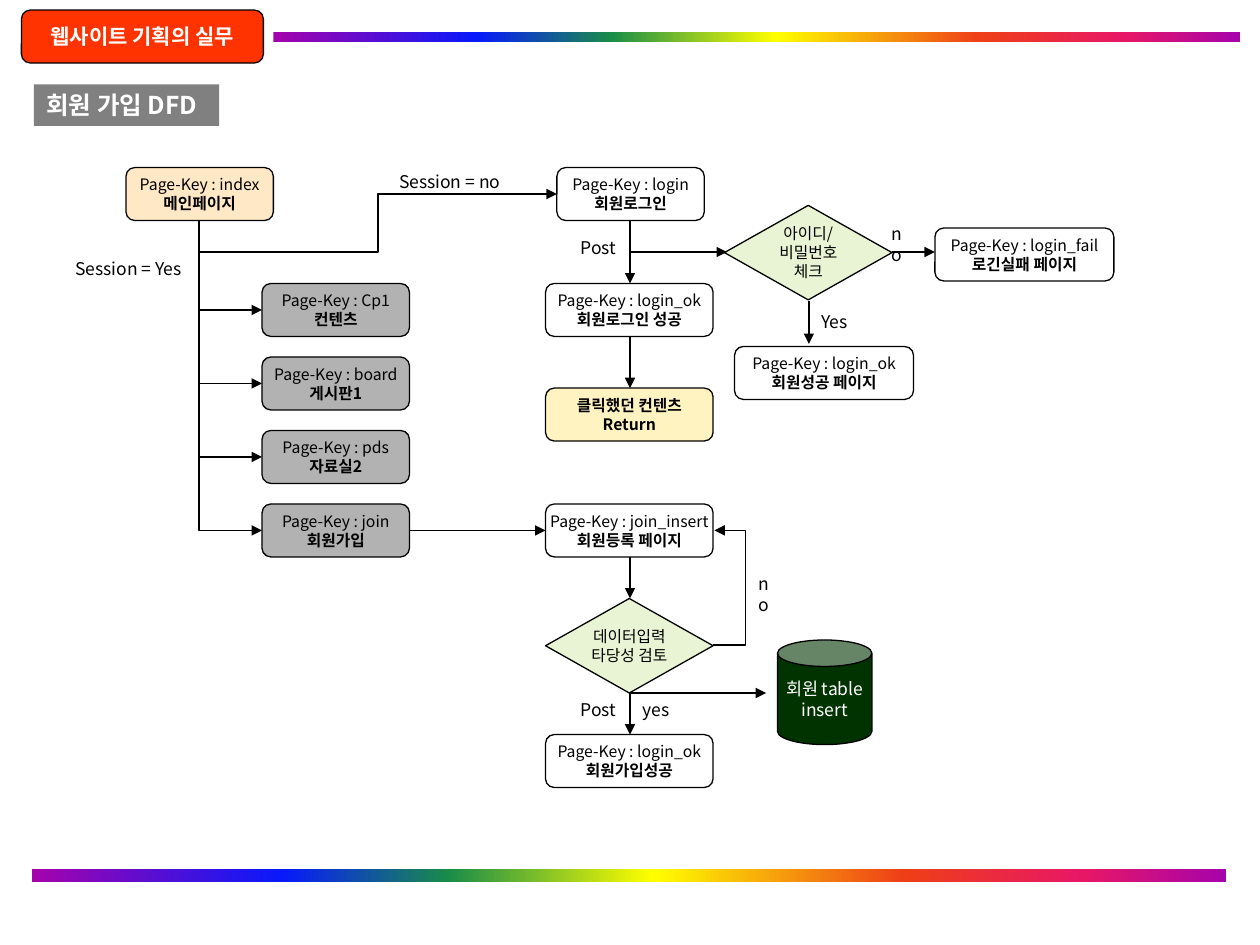
import pptx
import pptx.util
import pptx.dml.color
import pptx.enum.shapes
import pptx.enum.text
import pptx.oxml.ns
from lxml import etree

Inches, Pt = pptx.util.Inches, pptx.util.Pt
RGB = pptx.dml.color.RGBColor
SHAPE = pptx.enum.shapes.MSO_SHAPE
LINK = pptx.enum.shapes.MSO_CONNECTOR
ALIGN = pptx.enum.text.PP_ALIGN
ANCHOR = pptx.enum.text.MSO_ANCHOR
AUTO = pptx.enum.text.MSO_AUTO_SIZE
qn = pptx.oxml.ns.qn

BLACK = RGB(0x00, 0x00, 0x00)
WHITE = RGB(0xFF, 0xFF, 0xFF)
GRAY = RGB(0x80, 0x80, 0x80)
SILVER = RGB(0xB2, 0xB2, 0xB2)
RED = RGB(0xFF, 0x33, 0x00)
PEACH = RGB(0xFF, 0xE8, 0xC5)
CREAM = RGB(0xFF, 0xF3, 0xC1)
LIME = RGB(0xE9, 0xF4, 0xD4)
FOREST = RGB(0x00, 0x33, 0x00)
RAINBOW = [(0, "A603AB"), (21, "0819FB"), (35, "1A8D48"), (52, "FFFF00"),
           (73, "EE3F17"), (88, "E81766"), (100, "A603AB")]


class Diagram:
    """Draws flowchart elements on one slide in a shared style."""

    font = "Noto Sans CJK KR"
    line_width = Pt(0.75)

    def __init__(self, slide):
        self.slide = slide

    def add_text(self, sp, lines, frame, size, color, align=ALIGN.CENTER):
        tf = sp.text_frame
        for name, value in {"word_wrap": False, **frame}.items():
            setattr(tf, name, value)
        for i, (text, bold) in enumerate(lines):
            p = tf.add_paragraph() if i else tf.paragraphs[0]
            p.alignment = align
            r = p.add_run()
            r.text = text
            for name, value in {"name": self.font, "size": Pt(size), "bold": bold}.items():
                setattr(r.font, name, value)
            r.font.color.rgb = color
            etree.SubElement(r._r.get_or_add_rPr(), qn("a:ea")).set("typeface", self.font)

    def shape(self, kind, x, y, w, h, fill=None, outlined=True):
        sp = self.slide.shapes.add_shape(kind, Inches(x), Inches(y), Inches(w), Inches(h))
        sp.shadow.inherit = False
        if fill is not None:
            sp.fill.solid()
            sp.fill.fore_color.rgb = fill
        if outlined:
            sp.line.color.rgb = BLACK
            sp.line.width = self.line_width
        else:
            sp.line.fill.background()
        return sp

    def node(self, kind, x, y, w, h, fill, lines, size=9, color=BLACK):
        sp = self.shape(kind, x, y, w, h, fill)
        self.add_text(sp, lines, {"vertical_anchor": ANCHOR.MIDDLE}, size, color)
        return sp

    def page(self, x, y, w, fill, key, title):
        self.node(SHAPE.ROUNDED_RECTANGLE, x, y, w, 0.42, fill,
                  [("Page-Key : " + key, False), (title, True)])

    def decision(self, x, y, *lines):
        self.node(SHAPE.FLOWCHART_DECISION, x, y, 1.33, 0.75, LIME,
                  [(line, False) for line in lines])

    def rainbow(self, x, y, w, h):
        sp = self.shape(SHAPE.RECTANGLE, x, y, w, h, outlined=False)
        sp.fill.gradient()
        sp.fill.gradient_angle = 0
        stops = sp._element.spPr.find(qn("a:gradFill")).find(qn("a:gsLst"))
        for gs in list(stops):
            stops.remove(gs)
        for pos, color in RAINBOW:
            gs = etree.SubElement(stops, qn("a:gs"), pos=str(pos * 1000))
            etree.SubElement(gs, qn("a:srgbClr"), val=color)

    def label(self, x, y, w, text, wrap=False):
        sp = self.slide.shapes.add_textbox(Inches(x), Inches(y), Inches(w), Inches(0.27))
        self.add_text(sp, [(text, False)], {"word_wrap": wrap, "auto_size": AUTO.NONE},
                      10, BLACK, ALIGN.LEFT)

    def arrow(self, x1, y1, x2, y2, kind=LINK.STRAIGHT, bend=None):
        sp = self.slide.shapes.add_connector(kind, Inches(x1), Inches(y1), Inches(x2), Inches(y2))
        sp.line.color.rgb = BLACK
        sp.line.width = self.line_width
        spPr = sp._element.spPr
        etree.SubElement(spPr.get_or_add_ln(), qn("a:tailEnd"), type="triangle")
        etree.SubElement(spPr, qn("a:effectLst"))
        if bend is not None:
            guides = spPr.find(qn("a:prstGeom")).get_or_add_avLst()
            etree.SubElement(guides, qn("a:gd"), name="adj1", fmla=f"val {round(bend * 100000)}")
        return sp

    def branch(self, x1, y1, x2, y2):
        sp = self.arrow(x1, y1, x2, y2, LINK.ELBOW)
        w, h = y2 - y1, x2 - x1
        box = {"left": (x1 + x2 - w) / 2, "top": (y1 + y2 - h) / 2, "width": w, "height": h}
        for name, value in box.items():
            setattr(sp, name, Inches(value))
        spPr = sp._element.spPr
        spPr.find(qn("a:prstGeom")).set("prst", "bentConnector2")
        xfrm = spPr.find(qn("a:xfrm"))
        xfrm.set("rot", "16200000")
        xfrm.set("flipH", "1")


prs = pptx.Presentation()
prs.slide_width, prs.slide_height = Inches(10), Inches(7.5)
d = Diagram(prs.slides.add_slide(prs.slide_layouts[6]))

d.rainbow(0.25, 6.9, 9.48, 0.1)
d.rainbow(2.17, 0.25, 7.67, 0.08)
d.node(SHAPE.ROUNDED_RECTANGLE, 0.17, 0.08, 1.92, 0.42, RED,
       [("웹사이트 기획의 실무", True)], 12, WHITE)
heading = d.shape(SHAPE.RECTANGLE, 0.27, 0.67, 1.47, 0.33, GRAY, outlined=False)
d.add_text(heading, [("회원 가입 DFD", True)], {"vertical_anchor": ANCHOR.MIDDLE},
           14, WHITE, ALIGN.LEFT)

d.page(1, 1.33, 1.17, PEACH, "index", "메인페이지")
menu = [("Cp1", "컨텐츠"), ("board", "게시판1"), ("pds", "자료실2"), ("join", "회원가입")]
for i, (key, title) in enumerate(menu):
    y = 2.25 + i * 1.75 / 3
    d.page(2.08, y, 1.17, SILVER, key, title)
    d.branch(1.58, 1.75, 2.08, y + 0.21)

for x, y, w, key, title in [
    (4.42, 1.33, 1.17, "login", "회원로그인"),
    (4.33, 2.25, 1.33, "login_ok", "회원로그인 성공"),
    (7.42, 1.81, 1.42, "login_fail", "로긴실패 페이지"),
    (5.83, 2.75, 1.42, "login_ok", "회원성공 페이지"),
    (4.33, 4, 1.33, "join_insert", "회원등록 페이지"),
    (4.33, 5.83, 1.33, "login_ok", "회원가입성공"),
]:
    d.page(x, y, w, WHITE, key, title)
d.node(SHAPE.ROUNDED_RECTANGLE, 4.33, 3.08, 1.33, 0.42, CREAM,
       [("클릭했던 컨텐츠", True), ("Return", True)])
d.decision(5.75, 1.63, "아이디/", "비밀번호", "체크")
d.decision(4.33, 4.75, "데이터입력", "타당성 검토")
table = d.node(SHAPE.CAN, 6.17, 5.08, 0.75, 0.83, FOREST,
               [("회원 table", False), ("insert", False)], 10, WHITE)
table.adjustments[0] = 0.28

for ends in [
    (5, 1.75, 5, 2.25), (5, 2.67, 5, 3.08), (5, 4.42, 5, 4.75), (5, 5.5, 5, 5.83),
    (5, 2, 5.77, 2), (7.08, 2, 7.42, 2), (6.42, 2.39, 6.42, 2.73),
    (3.25, 4.21, 4.33, 4.21), (5, 5.5, 6.08, 5.5),
]:
    d.arrow(*ends)
d.arrow(1.58, 2, 4.42, 1.54, LINK.ELBOW, 0.5)
d.arrow(5.66, 5.12, 5.67, 4.21, LINK.ELBOW, 26)

for x, y, w, text in [
    (3.07, 1.31, 1.03, "Session = no"), (0.5, 2, 1.1, "Session = Yes"),
    (6.42, 2.42, 0.41, "Yes"), (5, 5.5, 0.41, "yes"),
    (4.51, 1.83, 0.48, "Post"), (4.51, 5.5, 0.48, "Post"),
]:
    d.label(x, y, w, text)
for x, y in [(6.98, 1.72), (5.92, 4.5)]:
    d.label(x, y, 0.34, "no", wrap=True)

prs.save("out.pptx")
